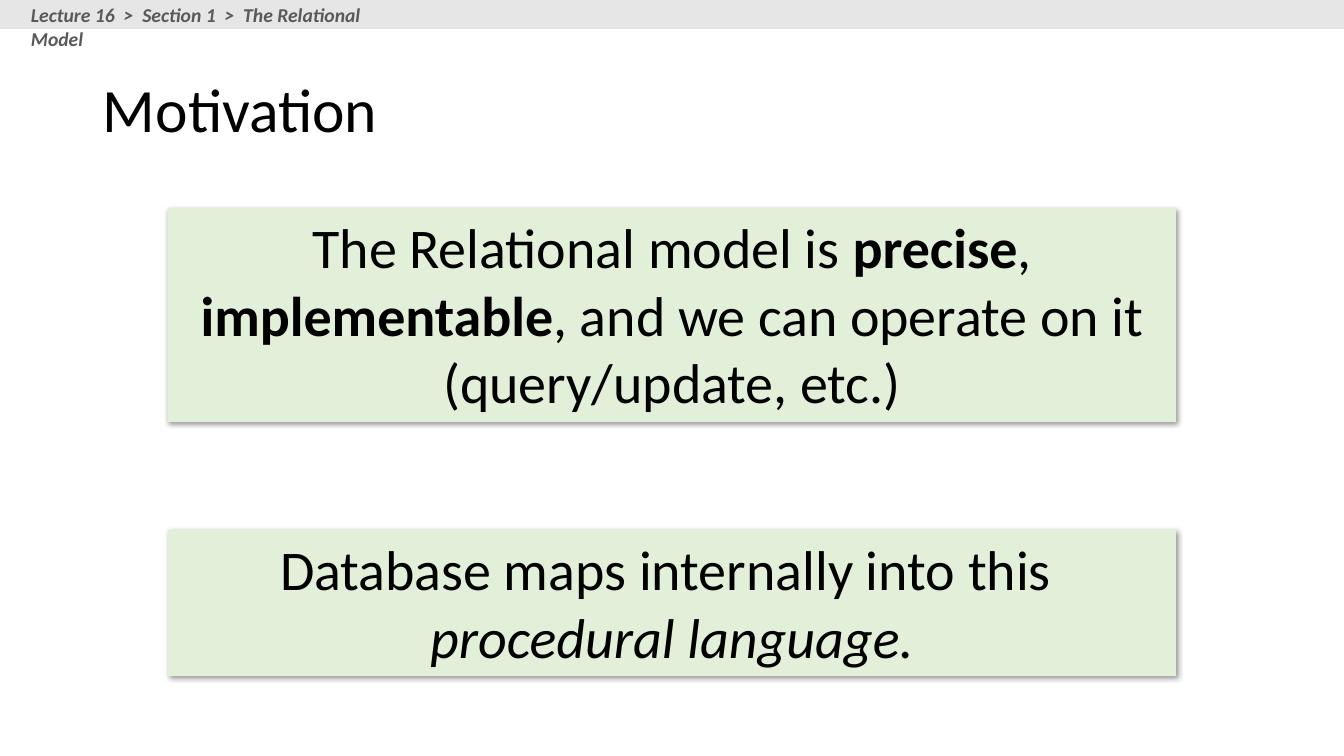
import pptx
import pptx.dml.color
import pptx.enum.shapes
import pptx.enum.text
import pptx.oxml
import pptx.util

RGB = pptx.dml.color.RGBColor
ALIGN = pptx.enum.text.PP_ALIGN
ANCHOR = pptx.enum.text.MSO_ANCHOR
FIT = pptx.enum.text.MSO_AUTO_SIZE

BLACK = RGB(0x00, 0x00, 0x00)
GREY_TEXT = RGB(0x59, 0x59, 0x59)
BAR_GREY = RGB(0xE7, 0xE6, 0xE6)
PALE_GREEN = RGB(0xE2, 0xF0, 0xD9)

EMU_PER_PX = 914400 / 100.8
PAGE_WIDTH, PAGE_HEIGHT = 1344, 756
BOX_WIDTH = 1008
BOX_LEFT = (PAGE_WIDTH - BOX_WIDTH) // 2

SHADOW = (
    '<a:effectLst xmlns:a="http://schemas.openxmlformats.org/drawingml/2006/main">'
    '<a:outerShdw blurRad="50800" dist="12700" dir="2700000" algn="tl" rotWithShape="0">'
    '<a:srgbClr val="000000"><a:alpha val="40000"/></a:srgbClr>'
    '</a:outerShdw></a:effectLst>'
)


def px(*lengths):
    return [pptx.util.Emu(round(length * EMU_PER_PX)) for length in lengths]


def apply(target, formats):
    for name, value in formats.items():
        setattr(target, name, value)


def write(shape, paragraphs, size, color=BLACK, frame=None, para_format=None):
    text_frame = shape.text_frame
    apply(text_frame, {"word_wrap": True, **(frame or {})})
    for index, spans in enumerate(paragraphs):
        para = text_frame.add_paragraph() if index else text_frame.paragraphs[0]
        apply(para, para_format or {})
        for text, formats in spans:
            span = para.add_run()
            span.text = text
            apply(span.font, {"name": "Calibri", "size": pptx.util.Pt(size), **formats})
            span.font.color.rgb = color


def add_rectangle(page, bounds, fill):
    shape = page.shapes.add_shape(
        pptx.enum.shapes.MSO_SHAPE.RECTANGLE, *px(*bounds))
    shape.fill.solid()
    shape.fill.fore_color.rgb = fill
    shape.line.fill.background()
    shape.shadow.inherit = False
    return shape


def add_statement(page, top, height, paragraphs):
    box = add_rectangle(page, (BOX_LEFT, top, BOX_WIDTH, height), PALE_GREEN)
    properties = box.fill._xPr
    properties.remove(properties.find(pptx.oxml.ns.qn("a:effectLst")))
    properties.append(pptx.oxml.parse_xml(SHADOW))
    write(box, paragraphs, 40,
          frame={"auto_size": FIT.SHAPE_TO_FIT_TEXT, "vertical_anchor": ANCHOR.TOP},
          para_format={"alignment": ALIGN.CENTER})


def add_label(page, bounds, text, size, color, formats, anchor, line_spacing):
    label = page.shapes.add_textbox(*px(*bounds))
    write(label, [[(text, formats)]], size, color,
          frame={"vertical_anchor": anchor},
          para_format={"line_spacing": line_spacing})


def main():
    deck = pptx.Presentation()
    deck.slide_width, deck.slide_height = px(PAGE_WIDTH, PAGE_HEIGHT)
    page = deck.slides.add_slide(deck.slide_layouts[6])

    add_label(page, (93, 40, 1159, 146), "Motivation", 44, BLACK, {},
              ANCHOR.MIDDLE, 0.9)
    add_statement(page, 208, 214, [[
        ("The Relational model is ", {}),
        ("precise", {"bold": True}),
        (", ", {}),
        ("implementable", {"bold": True}),
        (", and we can operate on it (query/update, etc.)", {}),
    ]])
    add_statement(page, 530, 146, [
        [("Database maps internally into this ", {})],
        [("procedural language.", {"italic": True})],
    ])
    add_rectangle(page, (0, 0, PAGE_WIDTH, 29), BAR_GREY)
    add_label(page, (21, -2, 399, 34),
              "Lecture 16  >  Section 1  >  The Relational Model", 14, GREY_TEXT,
              {"bold": True, "italic": True}, ANCHOR.TOP, 1.0)
    deck.save("out.pptx")


if __name__ == "__main__":
    main()
